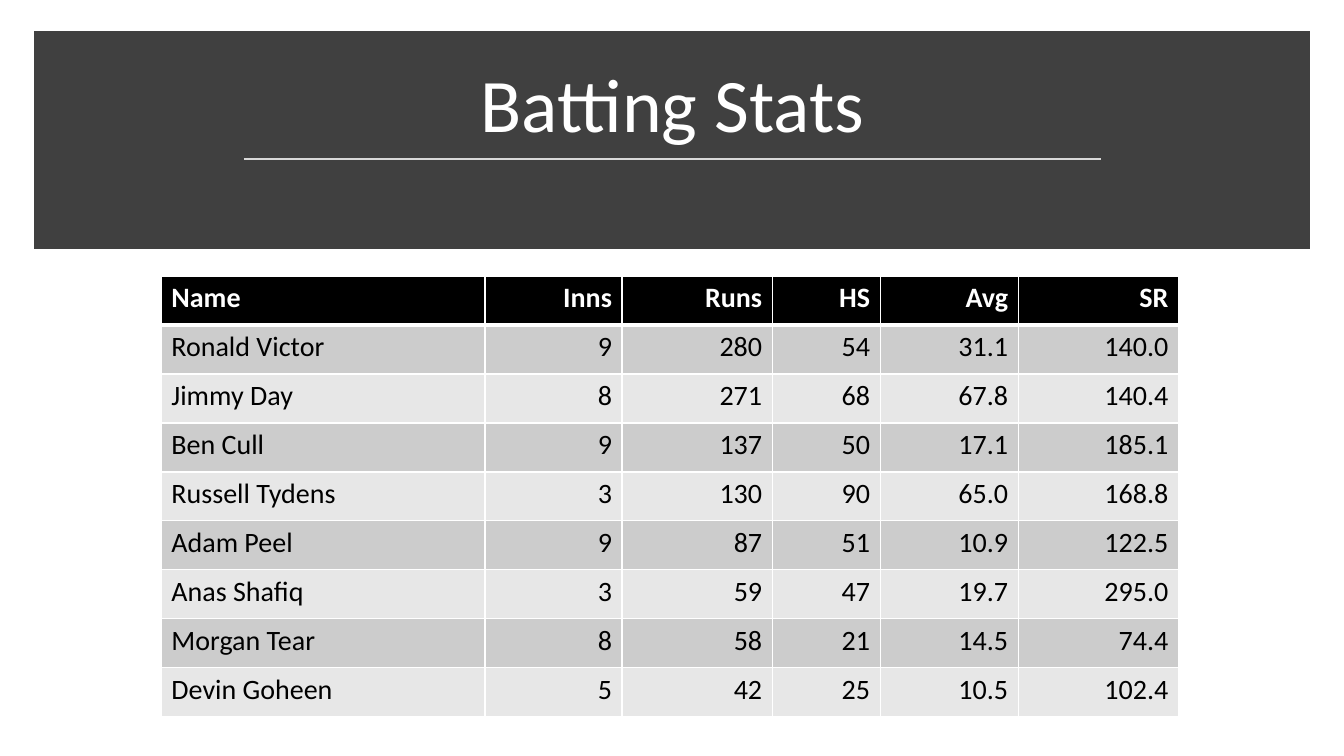
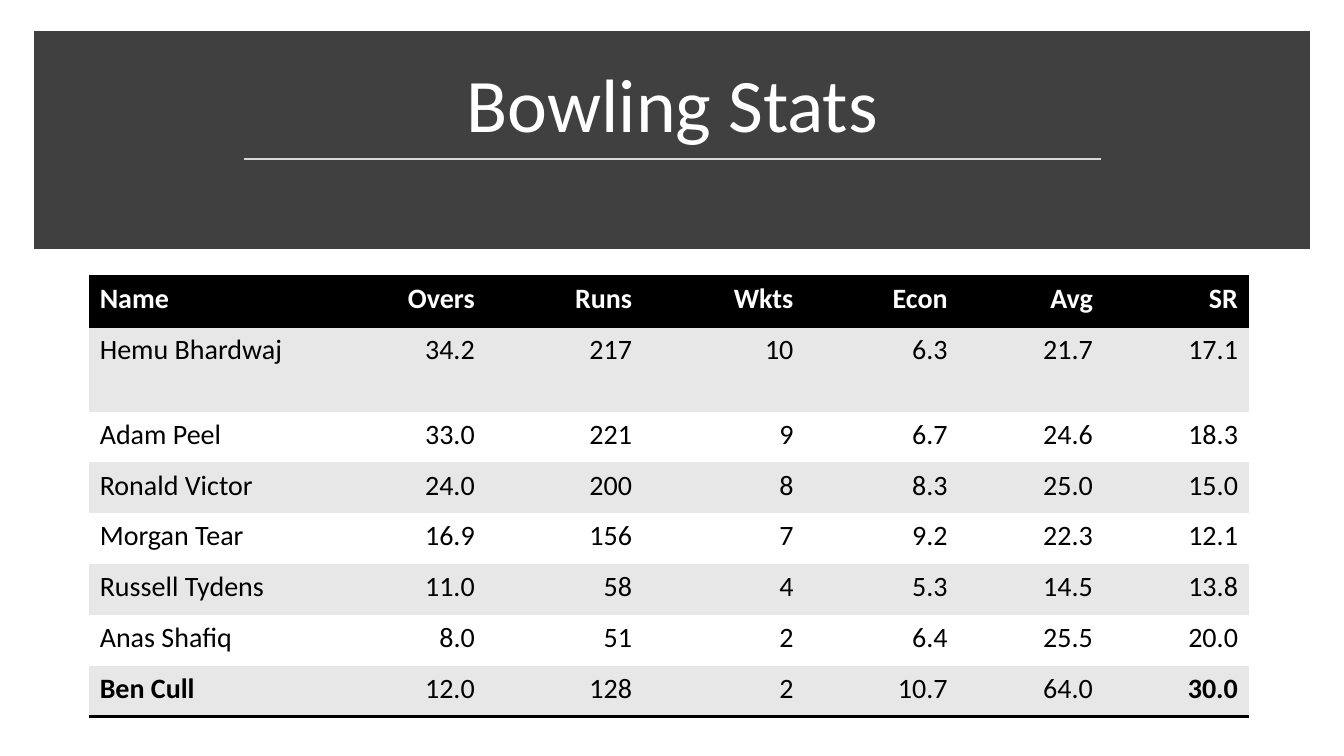
from lxml import etree
from pptx import Presentation
from pptx.dml.color import RGBColor
from pptx.enum.shapes import MSO_CONNECTOR, MSO_SHAPE
from pptx.enum.text import MSO_ANCHOR, PP_ALIGN
from pptx.oxml.ns import qn
from pptx.util import Inches, Pt

RECTANGLE = MSO_SHAPE.RECTANGLE
STRAIGHT = MSO_CONNECTOR.STRAIGHT
BOTTOM = MSO_ANCHOR.BOTTOM
LEFT, CENTER, RIGHT = PP_ALIGN.LEFT, PP_ALIGN.CENTER, PP_ALIGN.RIGHT

FONT = "Calibri"
WHITE, BLACK = "FFFFFF", "000000"
BAND, RULE = "404040", "D9D9D9"
MID_GREY, LIGHT_GREY = "CCCCCC", "E7E7E7"
PLAIN_TABLE = "{2D5ABB26-0587-4C30-8999-92F81FD0307C}"
TABLE_TOP, TABLE_HEIGHT = 2.74, 4.37

BATTING = [
    ("Name", "Inns", "Runs", "HS", "Avg", "SR"),
    ("Ronald Victor", "9", "280", "54", "31.1", "140.0"),
    ("Jimmy Day", "8", "271", "68", "67.8", "140.4"),
    ("Ben Cull", "9", "137", "50", "17.1", "185.1"),
    ("Russell Tydens", "3", "130", "90", "65.0", "168.8"),
    ("Adam Peel", "9", "87", "51", "10.9", "122.5"),
    ("Anas Shafiq", "3", "59", "47", "19.7", "295.0"),
    ("Morgan Tear", "8", "58", "21", "14.5", "74.4"),
    ("Devin Goheen", "5", "42", "25", "10.5", "102.4"),
]
BOWLING = [
    ("Name", "Overs", "Runs", "Wkts", "Econ", "Avg", "SR"),
    ("Hemu Bhardwaj", "34.2", "217", "10", "6.3", "21.7", "17.1"),
    ("Adam Peel", "33.0", "221", "9", "6.7", "24.6", "18.3"),
    ("Ronald Victor", "24.0", "200", "8", "8.3", "25.0", "15.0"),
    ("Morgan Tear", "16.9", "156", "7", "9.2", "22.3", "12.1"),
    ("Russell Tydens", "11.0", "58", "4", "5.3", "14.5", "13.8"),
    ("Anas Shafiq", "8.0", "51", "2", "6.4", "25.5", "20.0"),
    ("Ben Cull", "12.0", "128", "2", "10.7", "64.0", "30.0"),
]


def color(value):
    return RGBColor.from_string(value)


def write(frame, text, size=20, fill=BLACK, bold=False, align=LEFT, spacing=None):
    paragraph = frame.paragraphs[0]
    paragraph.alignment = align
    paragraph.line_spacing = spacing
    run = paragraph.add_run()
    run.text = text
    run.font.name = FONT
    run.font.size = Pt(size)
    run.font.bold = bold
    run.font.color.rgb = color(fill)


def set_borders(cell, rule_color, left, right, top, bottom):
    properties = cell._tc.get_or_add_tcPr()
    widths = {"a:lnL": left, "a:lnR": right, "a:lnT": top, "a:lnB": bottom}
    for index, (tag, width) in enumerate(widths.items()):
        line = etree.Element(qn(tag), w=str(Pt(width)))
        if width:
            fill = etree.SubElement(line, qn("a:solidFill"))
            etree.SubElement(fill, qn("a:srgbClr"), val=rule_color)
        else:
            etree.SubElement(line, qn("a:noFill"))
        properties.insert(index, line)


class StatsDeck:
    """Holds the shared style and the slide being built."""

    def __init__(self):
        self.presentation = Presentation()
        self.presentation.slide_width = Inches(13.33)
        self.presentation.slide_height = Inches(7.5)
        self.slide = None

    def add_slide(self, title):
        layout = self.presentation.slide_layouts[6]
        self.slide = self.presentation.slides.add_slide(layout)
        self.add_band()
        self.add_title(title)
        self.add_rule()

    def add_band(self):
        band = self.slide.shapes.add_shape(
            RECTANGLE, Inches(0.41), Inches(0.38), Inches(12.51), Inches(2.02))
        band.shadow.inherit = False
        band.fill.solid()
        band.fill.fore_color.rgb = color(BAND)
        band.line.color.rgb = color(BAND)
        band.line.width = Pt(10)
        outline = band._element.spPr.find(qn("a:ln"))
        etree.SubElement(outline, qn("a:miter"), lim="800000")

    def add_title(self, text):
        box = self.slide.shapes.add_textbox(
            Inches(0.58), Inches(0.51), Inches(12.18), Inches(1.02))
        frame = box.text_frame
        frame.word_wrap = True
        frame.vertical_anchor = BOTTOM
        write(frame, text, size=54, fill=WHITE, align=CENTER, spacing=0.9)

    def add_rule(self):
        rule = self.slide.shapes.add_connector(
            STRAIGHT, Inches(2.42), Inches(1.58), Inches(10.92), Inches(1.58))
        rule.line.color.rgb = color(RULE)
        rule.line.width = Pt(1.75)
        etree.SubElement(rule._element.spPr, qn("a:effectLst"))

    def add_stats(self, rows, left, widths, bands, rule_color, rules,
                  column_rule=0, margins=(0.1, 0.05), tall_rows=None, bold_cells=()):
        tall_rows = tall_rows or {}
        table = self.slide.shapes.add_table(
            len(rows), len(widths), Inches(left), Inches(TABLE_TOP),
            Inches(sum(widths)), Inches(TABLE_HEIGHT)).table
        table._tbl.tblPr.find(qn("a:tableStyleId")).text = PLAIN_TABLE
        table.first_row = table.horz_banding = False
        for column, width in zip(table.columns, widths):
            column.width = Inches(width)
        free_height = TABLE_HEIGHT - sum(tall_rows.values())
        row_height = free_height / (len(rows) - len(tall_rows))
        for row_index, values in enumerate(rows):
            table.rows[row_index].height = Inches(tall_rows.get(row_index, row_height))
            header = row_index == 0
            background = BLACK if header else bands[(row_index - 1) % 2]
            for column_index, value in enumerate(values):
                cell = table.cell(row_index, column_index)
                cell.margin_left = cell.margin_right = Inches(margins[0])
                cell.margin_top = cell.margin_bottom = Inches(margins[1])
                cell.fill.solid()
                cell.fill.fore_color.rgb = color(background)
                set_borders(cell, rule_color, column_rule, column_rule,
                            rules[row_index], rules[row_index + 1])
                write(cell.text_frame, value, fill=WHITE if header else BLACK,
                      bold=header or (row_index, column_index) in bold_cells,
                      align=RIGHT if column_index else LEFT)

    def save(self):
        self.presentation.save("out.pptx")


def main():
    deck = StatsDeck()
    deck.add_slide("Batting Stats")
    deck.add_stats(BATTING, 1.6, [3.21, 1.36, 1.49, 1.07, 1.37, 1.59],
                   bands=(MID_GREY, LIGHT_GREY), rule_color=WHITE,
                   rules=[1, 3] + [1] * 8, column_rule=1)
    deck.add_slide("Bowling Stats")
    deck.add_stats(BOWLING, 0.88, [2.22, 1.72, 1.56, 1.6, 1.53, 1.44, 1.44],
                   bands=(LIGHT_GREY, WHITE), rule_color=BLACK,
                   rules=[2, 2] + [0] * 6 + [2], margins=(0.11, 0.06),
                   tall_rows={1: 0.84}, bold_cells={(7, 0), (7, 6)})
    deck.save()


if __name__ == "__main__":
    main()
